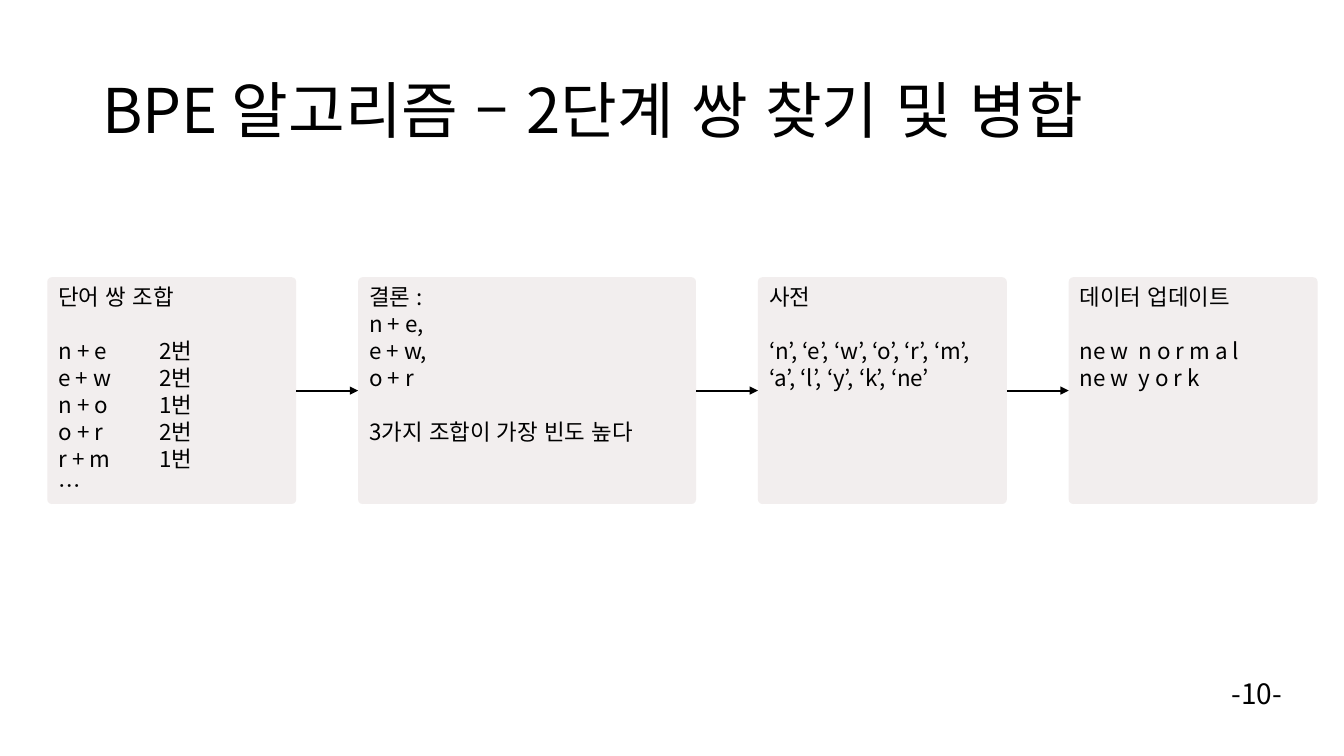
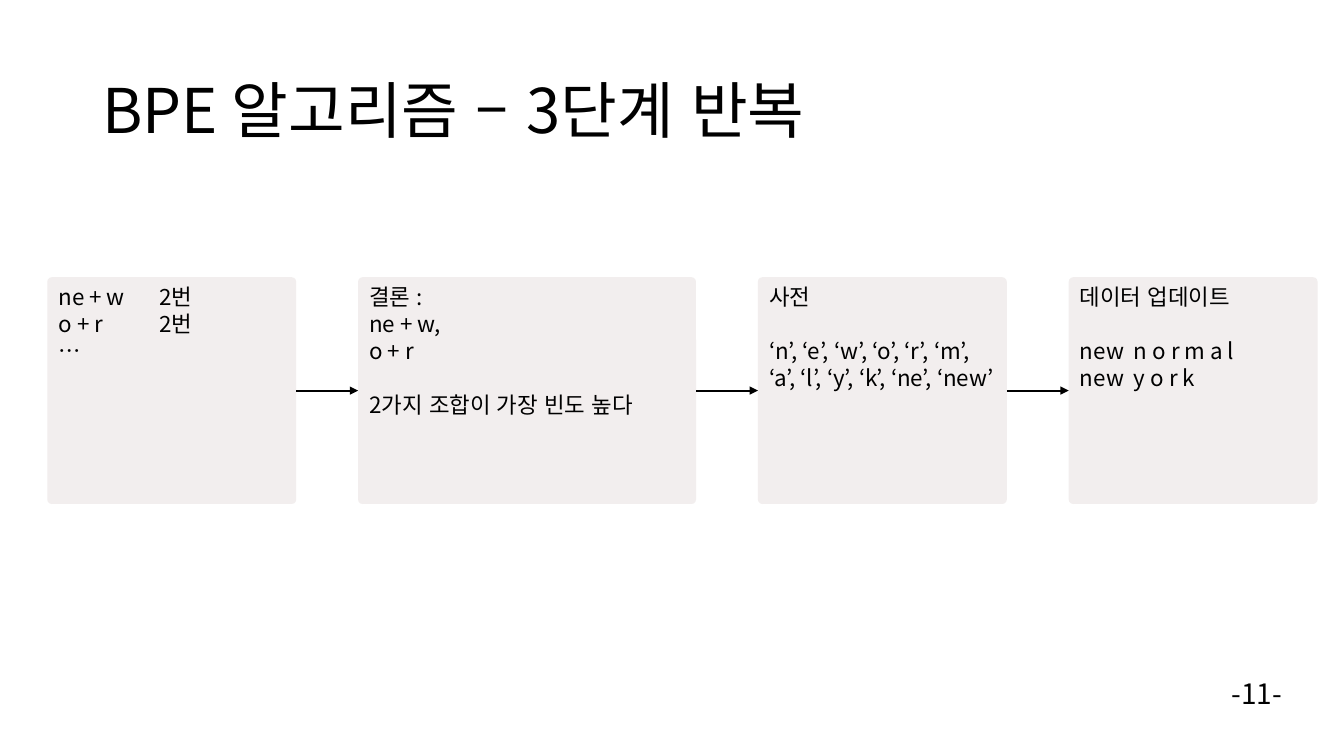
from lxml import etree
from pptx import Presentation
from pptx.dml.color import RGBColor
from pptx.enum.lang import MSO_LANGUAGE_ID
from pptx.enum.shapes import MSO_CONNECTOR, MSO_SHAPE
from pptx.enum.text import MSO_ANCHOR, PP_ALIGN
from pptx.oxml.ns import qn
from pptx.util import Pt

ROUNDED = MSO_SHAPE.ROUNDED_RECTANGLE
STRAIGHT = MSO_CONNECTOR.STRAIGHT
TOP, MIDDLE = MSO_ANCHOR.TOP, MSO_ANCHOR.MIDDLE
LEFT = PP_ALIGN.LEFT
KOREAN = MSO_LANGUAGE_ID.KOREAN

COLORS = {"text": "000000", "panel": "F2EEEE", "arrow": "000000"}
FONT = "Noto Sans CJK KR"
LINE_HEIGHT = 19.3
COUNT_TAB = 72

TITLE_BOX = (66, 28.8, 828, 104.4)
NUMBER_BOX = (872.6, 479.5, 53.3, 31.7)
FLOW_BOX = (33.8, 198, 907.4, 162)
PANEL_WIDTHS = (177.8, 241.4, 177.8, 177.8)

SLIDES = [
    {
        "title": "BPE 알고리즘 – 2단계 쌍 찾기 및 병합",
        "number": "-10-",
        "panels": [
            [["단어 쌍 조합"],
             ["n + e\t2번", "e + w\t2번", "n + o\t1번", "o + r\t2번", "r + m\t1번", "…"]],
            [["결론 :", "n + e,", "e + w,", "o + r"], ["3가지 조합이 가장 빈도 높다"]],
            [["사전"], ["‘n’, ‘e’, ‘w’, ‘o’, ‘r’, ‘m’, ‘a’, ‘l’, ‘y’, ‘k’, ‘ne’"]],
            [["데이터 업데이트"], ["ne w  n o r m a l", "ne w  y o r k"]],
        ],
    },
    {
        "title": "BPE 알고리즘 – 3단계 반복",
        "number": "-11-",
        "panels": [
            [["ne + w\t2번", "o + r\t2번", "…"]],
            [["결론 :", "ne + w,", "o + r"], ["2가지 조합이 가장 빈도 높다"]],
            [["사전"], ["‘n’, ‘e’, ‘w’, ‘o’, ‘r’, ‘m’, ‘a’, ‘l’, ‘y’, ‘k’, ‘ne’, ‘new’"]],
            [["데이터 업데이트"], ["new  n o r m a l", "new  y o r k"]],
        ],
    },
]


def color(name):
    return RGBColor.from_string(COLORS[name])


def set_values(target, values):
    for name, value in values.items():
        setattr(target, name, value)


def add_tab_stop(para, position):
    stops = etree.SubElement(para._p.get_or_add_pPr(), qn("a:tabLst"))
    stop = etree.SubElement(stops, qn("a:tab"))
    stop.set("pos", str(Pt(position)))
    stop.set("algn", "l")


def write_groups(frame, groups, size, line_spacing, **frame_format):
    set_values(frame, {"word_wrap": True, "vertical_anchor": TOP, **frame_format})
    para = frame.paragraphs[0]
    for group_index, lines in enumerate(groups):
        for line_index, line in enumerate(lines):
            if group_index or line_index:
                para = frame.add_paragraph()
            opens_group = group_index > 0 and line_index == 0
            set_values(para, {
                "alignment": LEFT,
                "line_spacing": line_spacing,
                "space_before": Pt(LINE_HEIGHT if opens_group else 0),
            })
            if "\t" in line:
                add_tab_stop(para, COUNT_TAB)
            span = para.add_run()
            span.text = line
            span.font.color.rgb = color("text")
            set_values(span.font, {"size": Pt(size), "name": FONT, "language_id": KOREAN})


def add_label(page, box, text, size, line_spacing, **frame_format):
    label = page.shapes.add_textbox(*map(Pt, box))
    write_groups(label.text_frame, [[text]], size, line_spacing, **frame_format)


def add_panel(page, box, groups):
    panel = page.shapes.add_shape(ROUNDED, *map(Pt, box))
    panel.adjustments[0] = 0.02
    panel.shadow.inherit = False
    panel.fill.solid()
    panel.fill.fore_color.rgb = color("panel")
    panel.line.fill.background()
    write_groups(panel.text_frame, groups, 16, Pt(LINE_HEIGHT), margin_top=Pt(2.9))
    return panel


def add_arrow(page, source, target):
    arrow = page.shapes.add_connector(STRAIGHT, 0, 0, 0, 0)
    arrow.begin_connect(source, 3)
    arrow.end_connect(target, 1)
    arrow.line.color.rgb = color("arrow")
    arrow.line.width = Pt(1.5)
    properties = arrow._element.spPr
    etree.SubElement(properties.find(qn("a:ln")), qn("a:tailEnd")).set("type", "triangle")
    etree.SubElement(properties, qn("a:effectLst"))


def add_flow(page, box, contents):
    left, top, width, height = box
    gap = (width - sum(PANEL_WIDTHS)) / (len(PANEL_WIDTHS) - 1)
    panels = []
    for panel_width, groups in zip(PANEL_WIDTHS, contents):
        panels.append(add_panel(page, (left, top, panel_width, height), groups))
        left += panel_width + gap
    for source, target in zip(panels, panels[1:]):
        add_arrow(page, source, target)


def add_step_slide(deck, content):
    page = deck.slides.add_slide(deck.slide_layouts[6])
    add_label(page, TITLE_BOX, content["title"], 44, 0.9, vertical_anchor=MIDDLE)
    add_label(page, NUMBER_BOX, content["number"], 20, Pt(24.4), word_wrap=False)
    add_flow(page, FLOW_BOX, content["panels"])


def main():
    deck = Presentation()
    set_values(deck, {"slide_width": Pt(960), "slide_height": Pt(540)})
    for content in SLIDES:
        add_step_slide(deck, content)
    deck.save("out.pptx")


if __name__ == "__main__":
    main()
